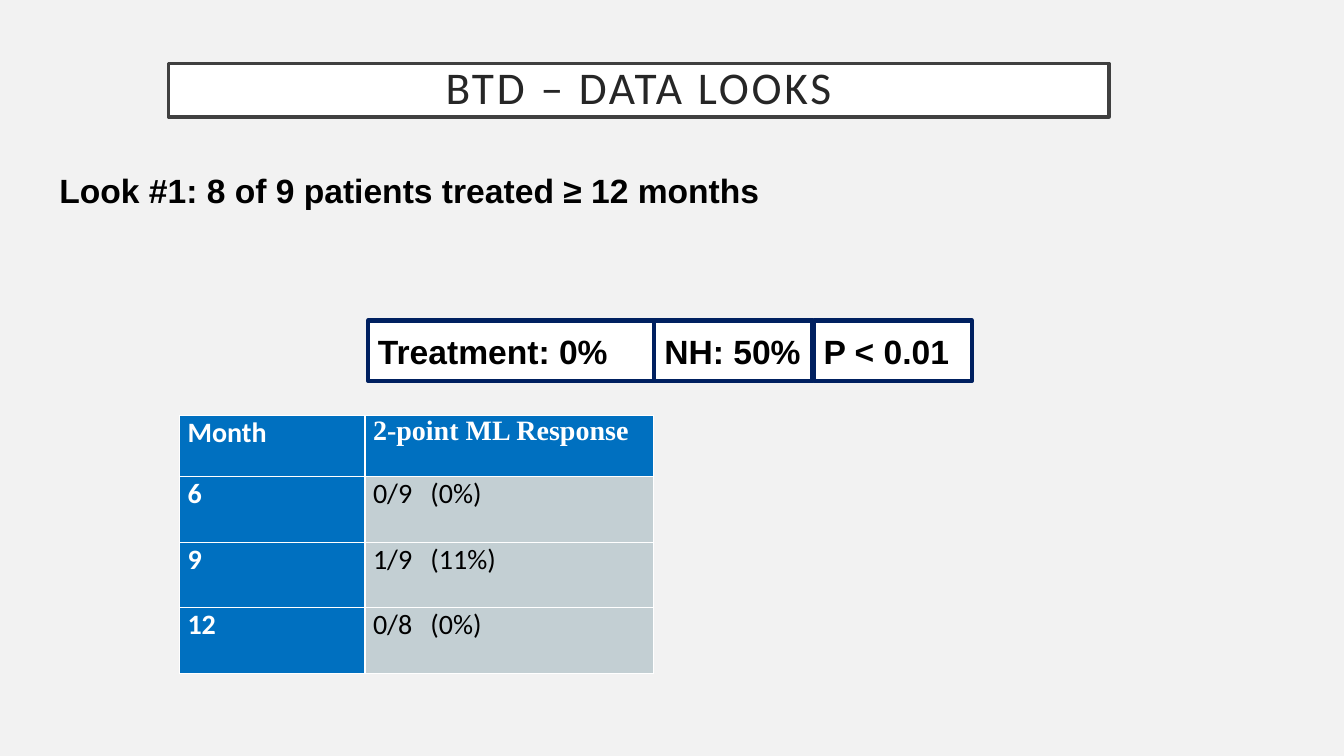
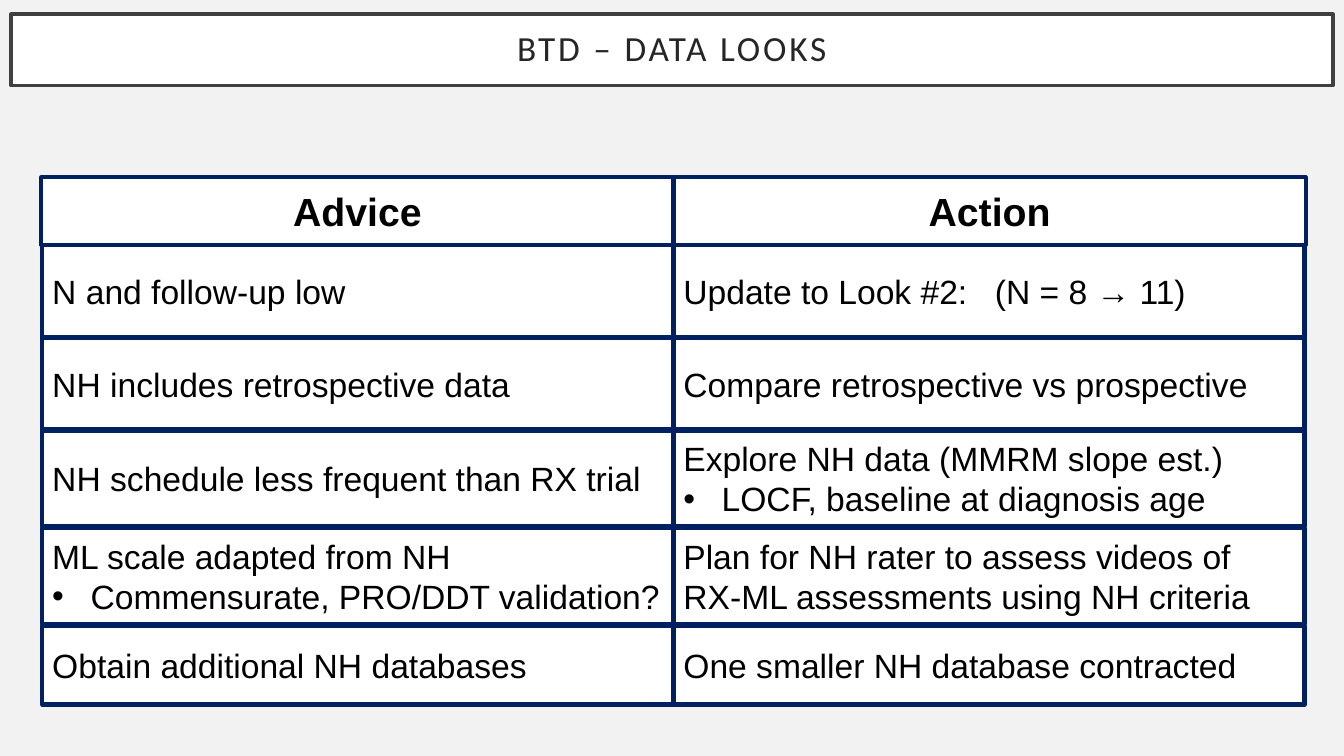
from dataclasses import dataclass

import lxml.etree
import pptx
import pptx.dml.color
import pptx.enum.shapes
import pptx.enum.text
import pptx.oxml.ns
import pptx.presentation
import pptx.shapes.autoshape
import pptx.slide
import pptx.util

Inches = pptx.util.Inches
Pt = pptx.util.Pt
ALIGN = pptx.enum.text.PP_ALIGN
ANCHOR = pptx.enum.text.MSO_ANCHOR

COLORS = {
    "background": "F2F2F2",
    "panel": "FFFFFF",
    "navy": "002060",
    "title_line": "404040",
    "title_text": "262626",
    "text": "000000",
    "table_blue": "0070C0",
    "table_grey": "C3CFD3",
}
TITLE = "BTD – DATA LOOKS"


@dataclass(frozen=True)
class Box:
    """Position and size in inches."""
    left: float
    top: float
    width: float
    height: float

    def lengths(self) -> tuple[pptx.util.Length, ...]:
        """Return left, top, width and height as lengths."""
        return tuple(Inches(v) for v in (self.left, self.top, self.width, self.height))


@dataclass(frozen=True)
class TextStyle:
    """Look of a paragraph."""
    size: float = 24
    font: str = "Arial"
    color: str = "text"
    bold: bool = False
    align: ALIGN = ALIGN.LEFT


@dataclass(frozen=True)
class Line:
    """One paragraph, optionally bulleted or with a tab stop in inches."""
    text: str
    bullet: bool = False
    tab: float | None = None


@dataclass(frozen=True)
class AdviceRow:
    """A piece of advice and the action taken on it."""
    top: float
    height: float
    advice: tuple[Line, ...]
    action: tuple[Line, ...]


BODY = TextStyle()
STRONG = TextStyle(bold=True)
HEADING = TextStyle(size=28, bold=True, align=ALIGN.CENTER)
TABLE_LABEL = TextStyle(20, "Calibri", "panel", True)
TABLE_SERIF = TextStyle(20, "Times New Roman", "panel", True)
TABLE_VALUE = TextStyle(20, "Calibri")

RESULTS = (
    ("Treatment: 0%", 3.65, 2.85),
    ("NH: 50%", 6.49, 1.57),
    ("P < 0.01", 8.07, 1.57),
)
RESPONSES = (
    ("Month", "2-point ML Response"),
    ("6", "0/9\t(0%)"),
    ("9", "1/9\t(11%)"),
    ("12", "0/8\t(0%)"),
)
ADVICE_ROWS = (
    AdviceRow(2.43, 0.91, (Line("N and follow-up low"),),
              (Line("Update to Look #2:\t(N = 8 → 11)", tab=3.09),)),
    AdviceRow(3.35, 0.91, (Line("NH includes retrospective data"),),
              (Line("Compare retrospective vs prospective"),)),
    AdviceRow(4.27, 0.95, (Line("NH schedule less frequent than RX trial"),),
              (Line("Explore NH data (MMRM slope est.)"),
               Line("LOCF, baseline at diagnosis age", bullet=True))),
    AdviceRow(5.24, 0.95, (Line("ML scale adapted from NH"),
                           Line("Commensurate, PRO/DDT validation?", bullet=True)),
              (Line("Plan for NH rater to assess videos of "
                    "RX-ML assessments using NH criteria"),)),
    AdviceRow(6.21, 0.78, (Line("Obtain additional NH databases"),),
              (Line("One smaller NH database contracted"),)),
)


def rgb(name: str) -> pptx.dml.color.RGBColor:
    """Look up a named colour."""
    return pptx.dml.color.RGBColor.from_string(COLORS[name])


def add_xml(parent: lxml.etree._Element, tag: str, **attributes: str) -> lxml.etree._Element:
    """Append a DrawingML element."""
    return lxml.etree.SubElement(parent, pptx.oxml.ns.qn(tag), attributes)


def write(frame: pptx.text.text.TextFrame, lines: tuple[Line, ...], style: TextStyle) -> None:
    """Fill a text frame with paragraphs of one style."""
    frame.word_wrap = True
    for index, line in enumerate(lines):
        paragraph = frame.add_paragraph() if index else frame.paragraphs[0]
        paragraph.text = line.text
        paragraph.alignment = style.align
        properties = paragraph._p.get_or_add_pPr()
        if line.bullet:
            properties.set("marL", str(Inches(0.38)))
            properties.set("indent", str(-Inches(0.38)))
            add_xml(properties, "a:buFont", typeface="Arial")
            add_xml(properties, "a:buChar", char="•")
        if line.tab is not None:
            stops = add_xml(properties, "a:tabLst")
            add_xml(stops, "a:tab", pos=str(Inches(line.tab)), algn="l")
        font = paragraph.font
        font.size = Pt(style.size)
        font.name = style.font
        font.bold = style.bold
        font.color.rgb = rgb(style.color)


def add_panel(slide: pptx.slide.Slide, box: Box, lines: tuple[Line, ...], style: TextStyle,
              outline: str = "navy", weight: float = 3) -> pptx.shapes.autoshape.Shape:
    """Draw a white outlined rectangle with text."""
    panel = slide.shapes.add_shape(pptx.enum.shapes.MSO_SHAPE.RECTANGLE, *box.lengths())
    panel.shadow.inherit = False
    panel.fill.solid()
    panel.fill.fore_color.rgb = rgb("panel")
    panel.line.color.rgb = rgb(outline)
    panel.line.width = Pt(weight)
    panel.text_frame.vertical_anchor = ANCHOR.MIDDLE
    write(panel.text_frame, lines, style)
    return panel


def add_titled_slide(deck: pptx.presentation.Presentation, box: Box,
                     size: float) -> pptx.slide.Slide:
    """Add a slide with the shared background and framed title."""
    slide = deck.slides.add_slide(deck.slide_layouts[6])
    slide.background.fill.solid()
    slide.background.fill.fore_color.rgb = rgb("background")
    style = TextStyle(size, "Calibri", "title_text", align=ALIGN.CENTER)
    title = add_panel(slide, box, (Line(TITLE),), style, "title_line", 2.5)
    frame = title.text_frame
    frame.margin_left = frame.margin_right = Inches(0.2)
    frame.margin_top = frame.margin_bottom = Inches(0.2)
    paragraph = frame.paragraphs[0]
    paragraph.line_spacing = 0.9
    paragraph.runs[0].font._element.set("spc", "200")
    return slide


def add_response_table(slide: pptx.slide.Slide) -> None:
    """Draw the table of responses by month."""
    box = Box(1.78, 4.12, 4.69, 2.55)
    table = slide.shapes.add_table(len(RESPONSES), 2, *box.lengths()).table
    table.horz_banding = False
    table.first_col = True
    for column, width in zip(table.columns, (1.84, 2.86)):
        column.width = Inches(width)
    for r, texts in enumerate(RESPONSES):
        table.rows[r].height = Inches(0.65 if r else 0.61)
        for c, text in enumerate(texts):
            is_value = r > 0 and c > 0
            cell = table.cell(r, c)
            cell.margin_left = cell.margin_right = Inches(0.08)
            cell.margin_top = cell.margin_bottom = 0
            cell.fill.solid()
            cell.fill.fore_color.rgb = rgb("table_grey" if is_value else "table_blue")
            style = TABLE_VALUE if is_value else TABLE_SERIF if c else TABLE_LABEL
            write(cell.text_frame, (Line(text, tab=0.57 if is_value else None),), style)
            paragraph = cell.text_frame.paragraphs[0]
            paragraph.space_before = paragraph.space_after = Pt(2)


def build_first_look(deck: pptx.presentation.Presentation) -> None:
    """Build the slide with the results of the first look."""
    slide = add_titled_slide(deck, Box(1.67, 0.63, 9.33, 0.53), 32.4)
    look = slide.shapes.add_textbox(*Box(0.49, 1.64, 12.31, 0.5).lengths())
    write(look.text_frame, (Line("Look #1: 8 of 9 patients treated ≥ 12 months"),), STRONG)
    for text, left, width in RESULTS:
        add_panel(slide, Box(left, 3.18, width, 0.6), (Line(text),), STRONG)
    add_response_table(slide)


def build_advice(deck: pptx.presentation.Presentation) -> None:
    """Build the slide that pairs advice with action."""
    slide = add_titled_slide(deck, Box(0.11, 0.14, 13.11, 0.71), 25.2)
    middle = 6.68
    header = AdviceRow(1.76, 0.67, (Line("Advice"),), (Line("Action"),))
    for row in (*ADVICE_ROWS, header):
        width, style = (6.27, HEADING) if row is header else (6.26, BODY)
        for left, lines in ((middle - width, row.advice), (middle, row.action)):
            add_panel(slide, Box(left, row.top, width, row.height), lines, style)


def main() -> None:
    """Build and save the deck."""
    deck = pptx.Presentation()
    deck.slide_width = Inches(13.33)
    deck.slide_height = Inches(7.5)
    build_first_look(deck)
    build_advice(deck)
    deck.save("out.pptx")


main()
